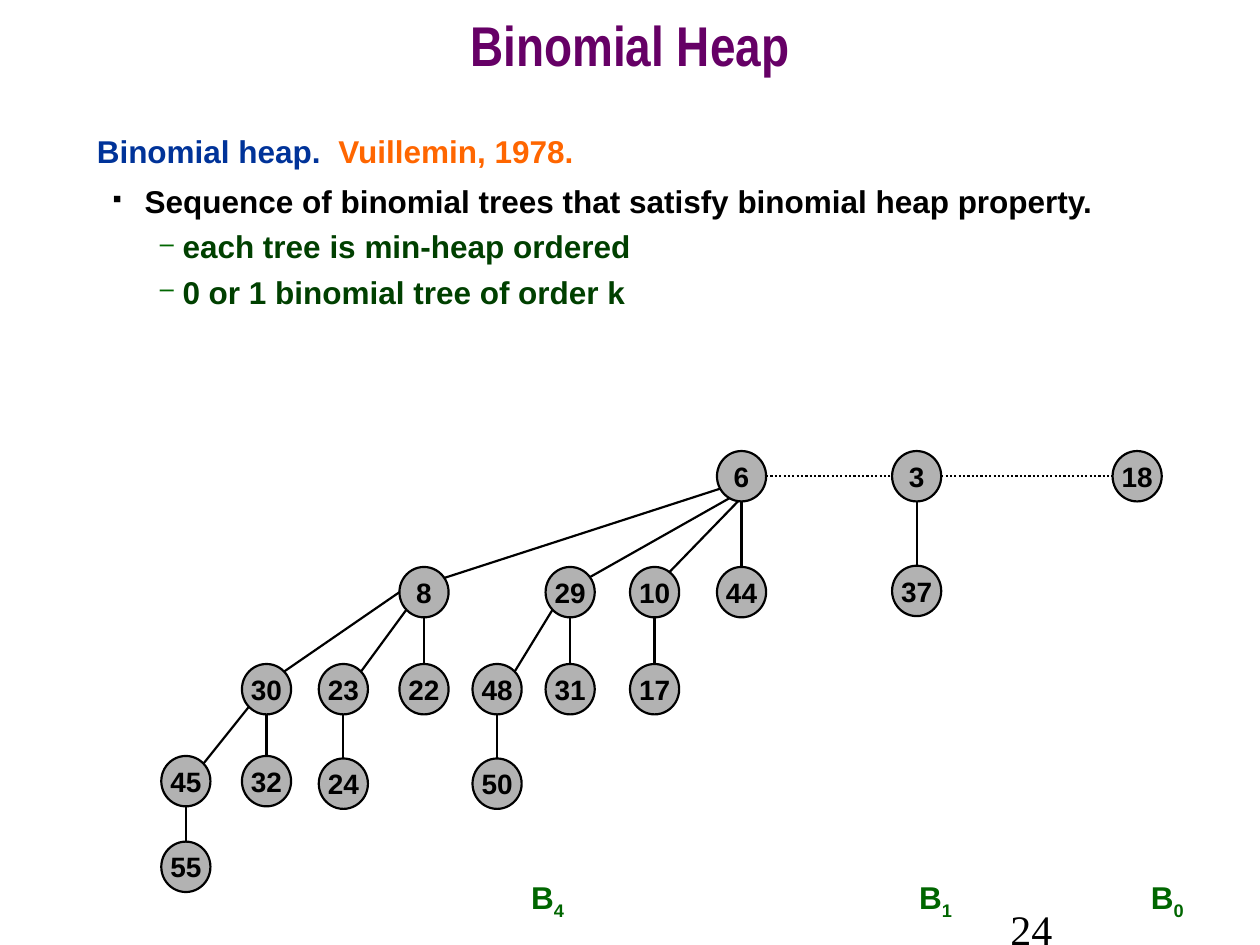
from dataclasses import dataclass

import pptx
import pptx.dml.color
import pptx.enum.dml
import pptx.enum.shapes
import pptx.enum.text
import pptx.oxml
import pptx.oxml.ns
import pptx.util

Inches = pptx.util.Inches
Pt = pptx.util.Pt
ALIGN = pptx.enum.text.PP_ALIGN
ANCHOR = pptx.enum.text.MSO_ANCHOR
NODE_W, NODE_H = 0.39, 0.4
BLACK, GREEN = "000000", "006600"
LOWER_LEFT = (-0.14, 0.14)
UPPER_RIGHT = (0.14, -0.14)


@dataclass
class Node:
    key: int
    left: float
    top: float
    parent: int | None = None
    # Edge ends, as offsets from the centres of the child and its parent
    child_end: tuple[float, float] = UPPER_RIGHT
    parent_end: tuple[float, float] = LOWER_LEFT

    def point(self, dx: float, dy: float) -> tuple[float, float]:
        return self.left + NODE_W / 2 + dx, self.top + NODE_H / 2 + dy


@dataclass
class Bullet:
    text: str
    color: str
    mark: str
    mark_color: str
    mark_percent: int
    margin: float
    indent: float
    spacing: float


def rgb(color: str) -> pptx.dml.color.RGBColor:
    return pptx.dml.color.RGBColor.from_string(color)


def write(paragraph, text: str, *, size: float = 18, font: str = "Arial",
          color: str = BLACK, bold: bool = True, baseline: int = 0) -> None:
    run = paragraph.add_run()
    run.text = text
    run.font.size = Pt(size)
    run.font.name = font
    run.font.bold = bold
    run.font.color.rgb = rgb(color)
    if baseline:
        run._r.get_or_add_rPr().set("baseline", str(baseline * 1000))


def add_box(left: float, top: float, width: float, height: float,
            anchor=ANCHOR.TOP, align=ALIGN.LEFT):
    box = slide.shapes.add_textbox(Inches(left), Inches(top), Inches(width), Inches(height))
    frame = box.text_frame
    frame.word_wrap = True
    frame.vertical_anchor = anchor
    frame.paragraphs[0].alignment = align
    return frame


def add_bullet(frame, bullet: Bullet) -> None:
    paragraph = frame.add_paragraph()
    paragraph.space_before = Pt(4.5)
    paragraph.line_spacing = bullet.spacing
    write(paragraph, bullet.text, color=bullet.color)
    properties = paragraph._p.get_or_add_pPr()
    properties.set("marL", str(Inches(bullet.margin)))
    properties.set("indent", str(Inches(bullet.indent)))
    namespace = pptx.oxml.ns.nsdecls("a")
    for xml in (
        f'<a:buClr {namespace}><a:srgbClr val="{bullet.mark_color}"/></a:buClr>',
        f'<a:buSzPct {namespace} val="{bullet.mark_percent * 1000}"/>',
        f'<a:buChar {namespace} char="{bullet.mark}"/>',
    ):
        properties.append(pptx.oxml.parse_xml(xml))


def add_edge(shapes, start: tuple[float, float], end: tuple[float, float],
             dotted: bool = False) -> None:
    edge = shapes.add_connector(pptx.enum.shapes.MSO_CONNECTOR.STRAIGHT,
                                *(Inches(value) for value in start + end))
    edge.line.color.rgb = rgb(BLACK)
    edge.line.width = Pt(1.25)
    if dotted:
        edge.line.dash_style = pptx.enum.dml.MSO_LINE.ROUND_DOT
    edge._element.spPr.append(
        pptx.oxml.parse_xml(f'<a:effectLst {pptx.oxml.ns.nsdecls("a")}/>'))


def add_node(shapes, node: Node) -> None:
    circle = shapes.add_shape(pptx.enum.shapes.MSO_SHAPE.OVAL, Inches(node.left),
                              Inches(node.top), Inches(NODE_W), Inches(NODE_H))
    circle.shadow.inherit = False
    circle.fill.solid()
    circle.fill.fore_color.rgb = rgb("B2B2B2")
    circle.line.color.rgb = rgb(BLACK)
    circle.line.width = Pt(1.25)
    frame = circle.text_frame
    frame.word_wrap = False
    frame.vertical_anchor = ANCHOR.MIDDLE
    frame.paragraphs[0].alignment = ALIGN.CENTER
    write(frame.paragraphs[0], str(node.key), size=16)


def add_tree(shapes, tree: list[Node]) -> None:
    by_key = {node.key: node for node in tree}
    for node in tree:
        if node.parent is None:
            continue
        parent = by_key[node.parent]
        if node.left == parent.left:
            add_edge(shapes, node.point(0, -NODE_H / 2), parent.point(0, NODE_H / 2))
        else:
            add_edge(shapes, node.point(*node.child_end), parent.point(*node.parent_end))
    for node in tree:
        add_node(shapes, node)


presentation = pptx.Presentation()
presentation.slide_width = Inches(10)
presentation.slide_height = Inches(7.5)
slide = presentation.slides.add_slide(presentation.slide_layouts[6])

# Title
title = add_box(0, 0, 10, 0.83, ANCHOR.MIDDLE, ALIGN.CENTER).paragraphs[0]
title.line_spacing = 0.7
write(title, "Binomial Heap", size=32, font="Arial Narrow", color="660066")

# Definition
definition = add_box(0.67, 1, 8.58, 5.92)
heading = definition.paragraphs[0]
heading.space_before = Pt(4.5)
write(heading, "Binomial heap.  ", color="003399")
write(heading, "Vuillemin, 1978.", color="FF6600")
add_bullet(definition, Bullet(
    "Sequence of binomial trees that satisfy binomial heap property.",
    BLACK, "■", BLACK, 35, 0.38, -0.25, 1.1))
for condition in ("each tree is min-heap ordered", "0 or 1 binomial tree of order k"):
    add_bullet(definition, Bullet(condition, "004000", "–", GREEN, 80, 0.68, -0.18, 1.0))

# Binomial trees, each with its root first
order_4 = [
    Node(6, 5.69, 3.58),
    Node(8, 3.17, 4.5, 6, (0.09, -0.09), (-0.02, 0.05)),
    Node(29, 4.33, 4.5, 6, (0.14, -0.11), (0, 0.12)),
    Node(10, 5, 4.5, 6, (0.09, -0.13), (0.02, 0.15)),
    Node(44, 5.69, 4.5, 6),
    Node(30, 1.92, 5.27, 8, parent_end=(-NODE_W / 2, 0)),
    Node(23, 2.53, 5.27, 8),
    Node(22, 3.17, 5.27, 8),
    Node(48, 3.75, 5.27, 29),
    Node(31, 4.33, 5.27, 29),
    Node(17, 5, 5.27, 10),
    Node(45, 1.28, 6, 30),
    Node(32, 1.92, 6, 30),
    Node(24, 2.53, 6.02, 23),
    Node(50, 3.75, 6.02, 48),
    Node(55, 1.28, 6.68, 45),
]
order_1 = [Node(3, 7.08, 3.58), Node(37, 7.08, 4.49, 3)]
order_0 = [Node(18, 8.83, 3.58)]

# Links between neighbouring roots
roots = [tree[0] for tree in (order_4, order_1, order_0)]
for root, next_root in zip(roots, roots[1:]):
    add_edge(slide.shapes, root.point(NODE_W / 2, 0),
             next_root.point(-NODE_W / 2, 0), dotted=True)

add_tree(slide.shapes.add_group_shape().shapes, order_4)
add_tree(slide.shapes, order_1)
add_tree(slide.shapes, order_0)

# Tree orders
for order, left in (("4", 4), ("1", 7.08), ("0", 8.92)):
    label = add_box(left, 6.92, 0.69, 0.44, align=ALIGN.CENTER).paragraphs[0]
    label.space_before = Pt(11.2)
    write(label, "B", color=GREEN)
    write(label, order, color=GREEN, baseline=-25)

# Slide number
slide_number = add_box(7.92, 7.12, 2.08, 0.5, ANCHOR.MIDDLE).paragraphs[0]
write(slide_number, "24", size=24, font="Times New Roman", bold=False)

presentation.save("out.pptx")
